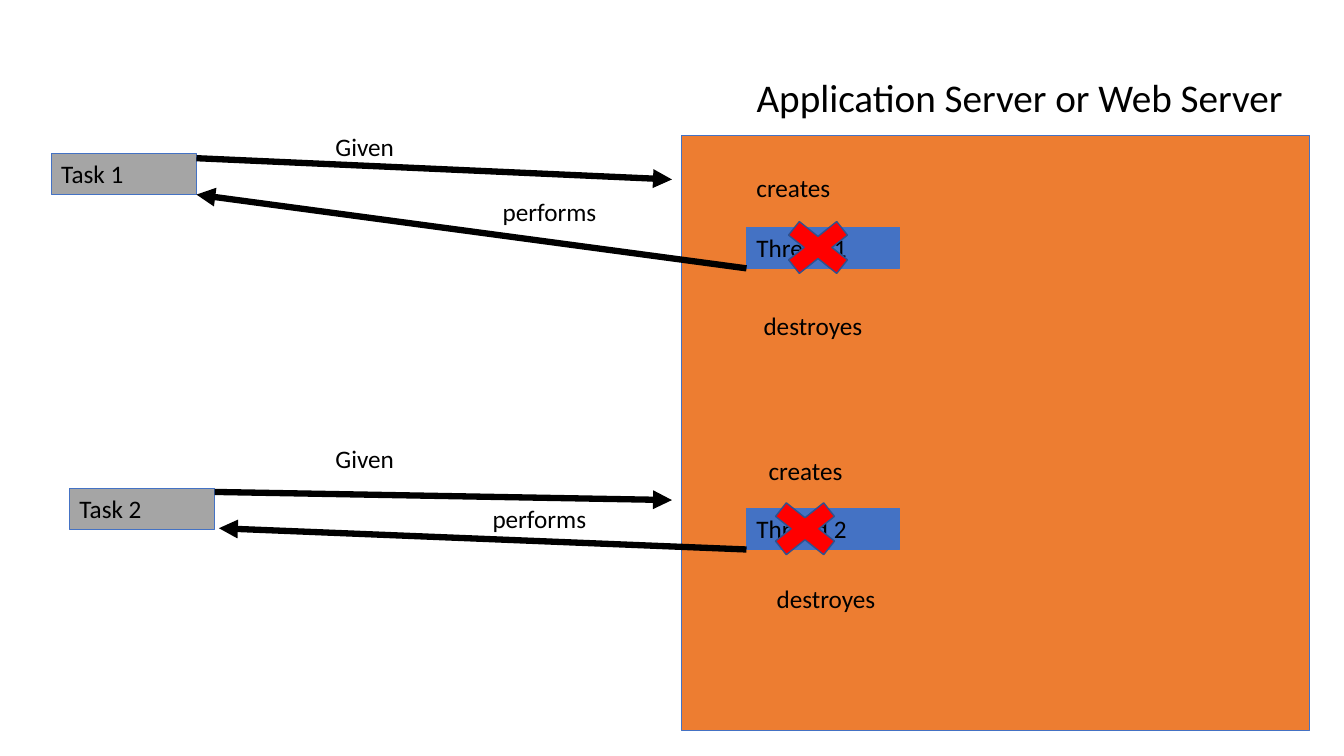
from lxml import etree
from pptx import Presentation
from pptx.dml.color import RGBColor
from pptx.enum.shapes import MSO_CONNECTOR, MSO_SHAPE
from pptx.enum.text import MSO_ANCHOR, MSO_AUTO_SIZE, PP_ALIGN
from pptx.oxml.ns import qn
from pptx.util import Pt

RECT, CROSS = MSO_SHAPE.RECTANGLE, MSO_SHAPE.MATH_MULTIPLY
STRAIGHT = MSO_CONNECTOR.STRAIGHT
TOP, LEFT, NO_FIT = MSO_ANCHOR.TOP, PP_ALIGN.LEFT, MSO_AUTO_SIZE.NONE

TITLE = "Application Server or Web Server"
FLOWS = [
    {
        "task": ("Task 1", 36.7, 109.5),
        "thread": ("Thread 1", 533.5, 162.2),
        "cross": (551.5, 150.5),
        "given": (113, 128.2),
        "performs": (140.4, 139),
        "labels": [("Given", 232.6, 90, 109.5), ("performs", 352.1, 136.8, 120),
                   ("creates", 533.5, 119.5, 122.5), ("destroyes", 538.6, 218.2, 93.6)],
    },
    {
        "task": ("Task 2", 49.7, 348.6),
        "thread": ("Thread 2", 533.5, 363),
        "cross": (542.2, 351.4),
        "given": (351.4, 357.2),
        "performs": (156.5, 377.3),
        "labels": [("Given", 232.6, 313.2, 109.5), ("performs", 344.9, 355.7, 120),
                   ("creates", 542.2, 321.8, 122.5), ("destroyes", 547.9, 413.3, 93.6)],
    },
]

THEME = {
    "font": "Calibri", "title": 28, "label": 18,
    "text": "000000", "server": "ED7D31", "task": "A5A5A5", "thread": "4472C4",
    "outline": "4472C4", "cross": "FF0000", "cross_line": "2F528F",
}
FRAME = {"word_wrap": True, "auto_size": NO_FIT, "vertical_anchor": TOP,
         "margin_left": Pt(7.2), "margin_right": Pt(7.2),
         "margin_top": Pt(3.6), "margin_bottom": Pt(3.6)}
SERVER = (487, 96.5, 449, 425.5)
TITLE_BOX = (533.5, 49, 412, 41)
TASK_W, THREAD_W, BOX_H = 103.7, 109.5, 29.5
CROSS_SIZE = (66.2, 52.6)
GIVEN_END = 480.2


def color(name):
    return RGBColor.from_string(THEME[name])


def set_attrs(obj, values):
    for name, value in values.items():
        setattr(obj, name, value)


def write(sp, text, size="label"):
    tf = sp.text_frame
    set_attrs(tf, FRAME)
    p = tf.paragraphs[0]
    p.alignment = LEFT
    r = p.add_run()
    r.text = text
    set_attrs(r.font, {"name": THEME["font"], "size": Pt(THEME[size]), "bold": False})
    r.font.color.rgb = color("text")


def add_box(slide, kind, box, fill, line="outline", width=0.75, text=None):
    sp = slide.shapes.add_shape(kind, *map(Pt, box))
    sp.shadow.inherit = False
    sp.fill.solid()
    sp.fill.fore_color.rgb = color(fill)
    sp.line.color.rgb = color(line)
    sp.line.width = Pt(width)
    if text:
        write(sp, text)


def add_arrow(slide, start, end):
    cx = slide.shapes.add_connector(STRAIGHT, *map(Pt, start + end))
    cx.line.color.rgb = color("text")
    cx.line.width = Pt(4.5)
    ln = cx.line._get_or_add_ln()
    etree.SubElement(ln, qn("a:tailEnd"), type="triangle")
    etree.SubElement(ln.getparent(), qn("a:effectLst"))


def add_flow(slide, flow):
    task, task_x, task_y = flow["task"]
    thread, thread_x, thread_y = flow["thread"]
    start_y, end_y = flow["given"]
    add_box(slide, RECT, (task_x, task_y, TASK_W, BOX_H), "task", text=task)
    add_box(slide, RECT, (thread_x, thread_y, THREAD_W, BOX_H), "thread", text=thread)
    add_arrow(slide, (task_x + TASK_W, start_y), (GIVEN_END, end_y))
    add_arrow(slide, (thread_x, thread_y + BOX_H), flow["performs"])
    add_box(slide, CROSS, flow["cross"] + CROSS_SIZE, "cross", "cross_line", 1)
    for text, x, y, w in flow["labels"]:
        write(slide.shapes.add_textbox(Pt(x), Pt(y), Pt(w), Pt(BOX_H)), text)


def main():
    prs = Presentation()
    prs.slide_width, prs.slide_height = Pt(960.5), Pt(540)
    slide = prs.slides.add_slide(prs.slide_layouts[5])
    title = slide.shapes.title
    set_attrs(title, dict(zip(("left", "top", "width", "height"), map(Pt, TITLE_BOX))))
    write(title, TITLE, "title")
    add_box(slide, RECT, SERVER, "server")
    for flow in FLOWS:
        add_flow(slide, flow)
    prs.save("out.pptx")


if __name__ == "__main__":
    main()
